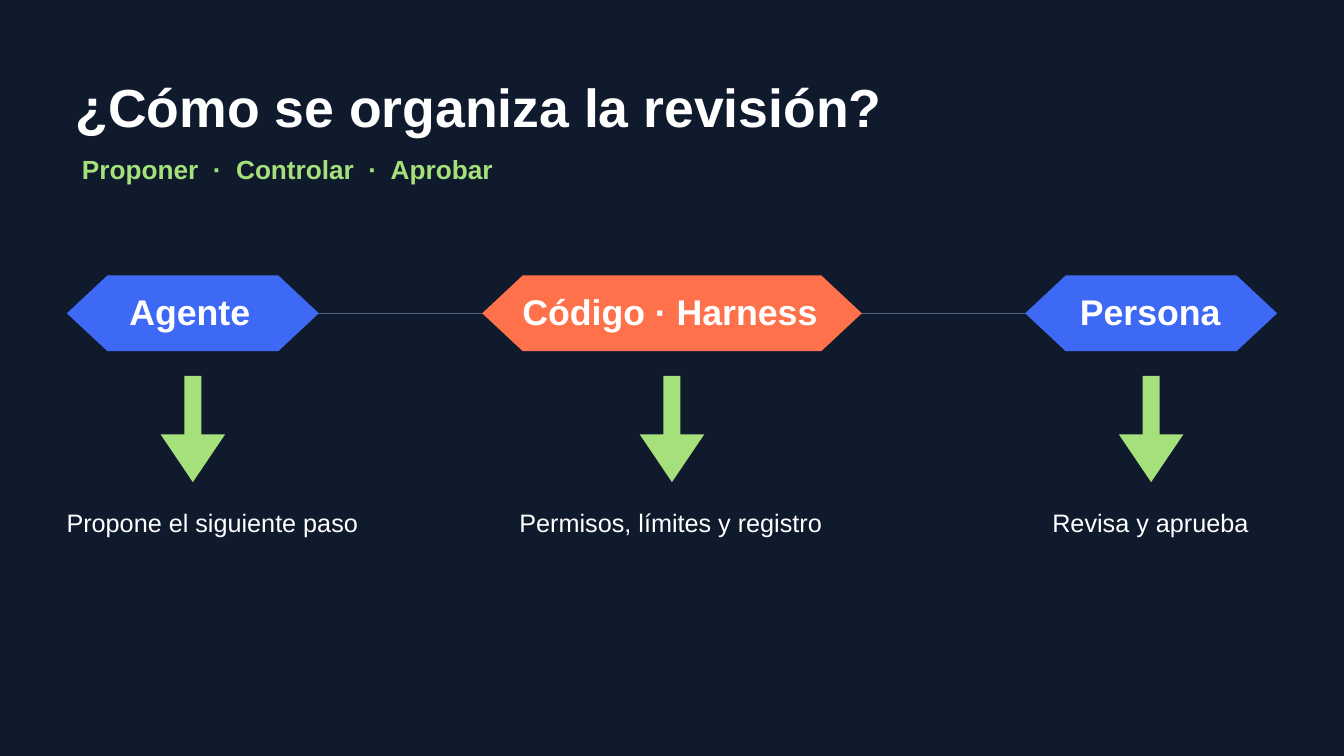
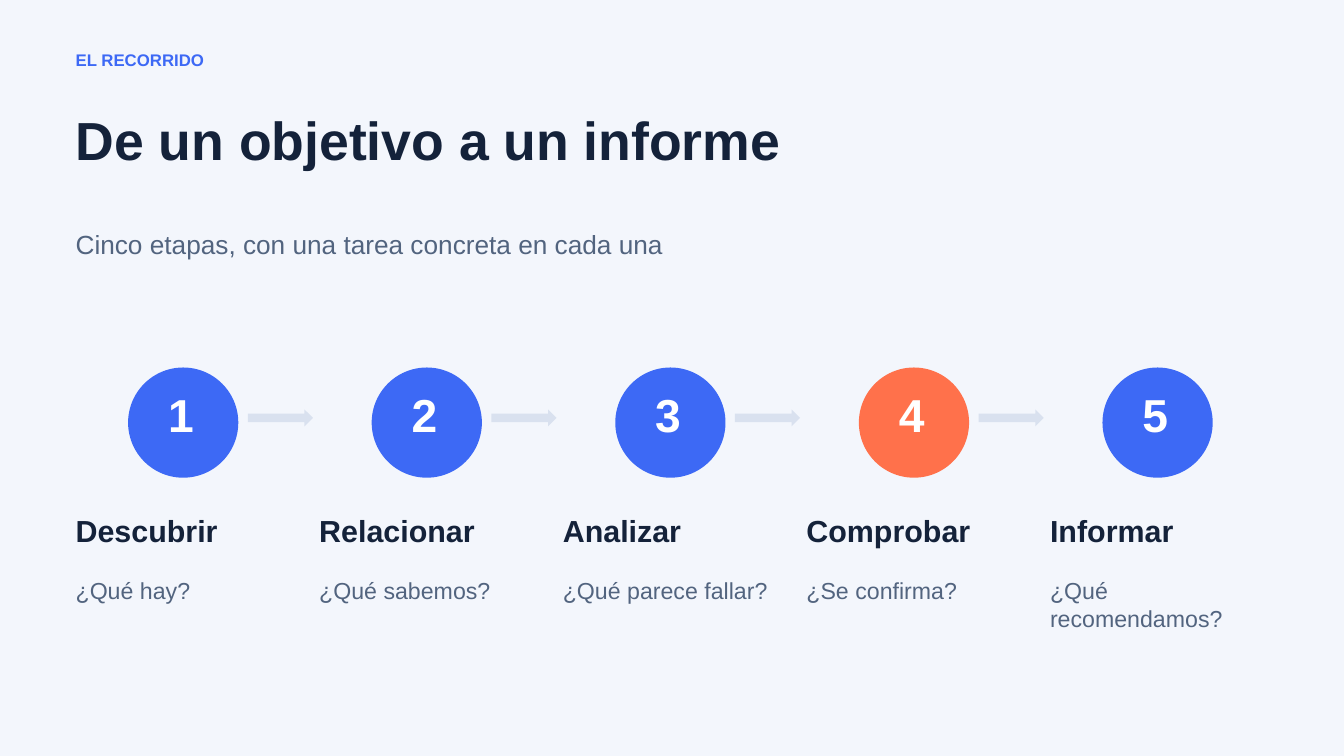
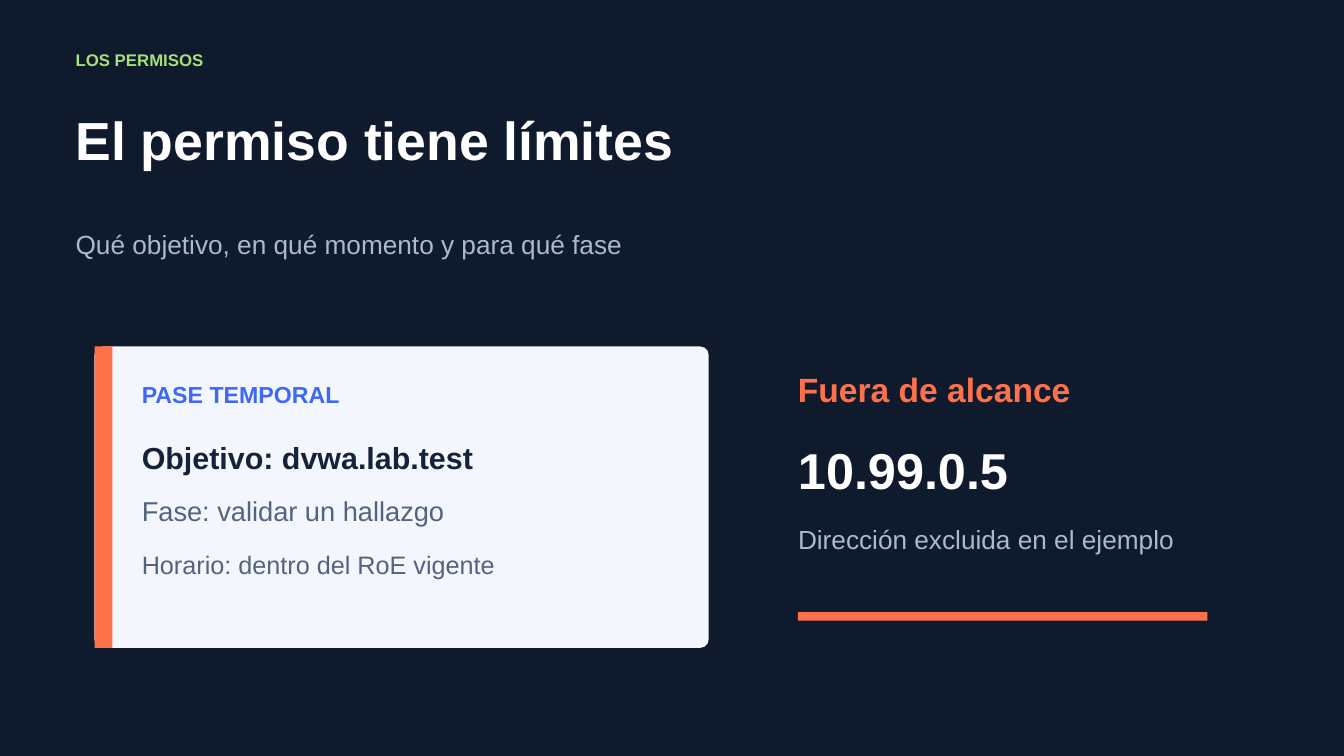
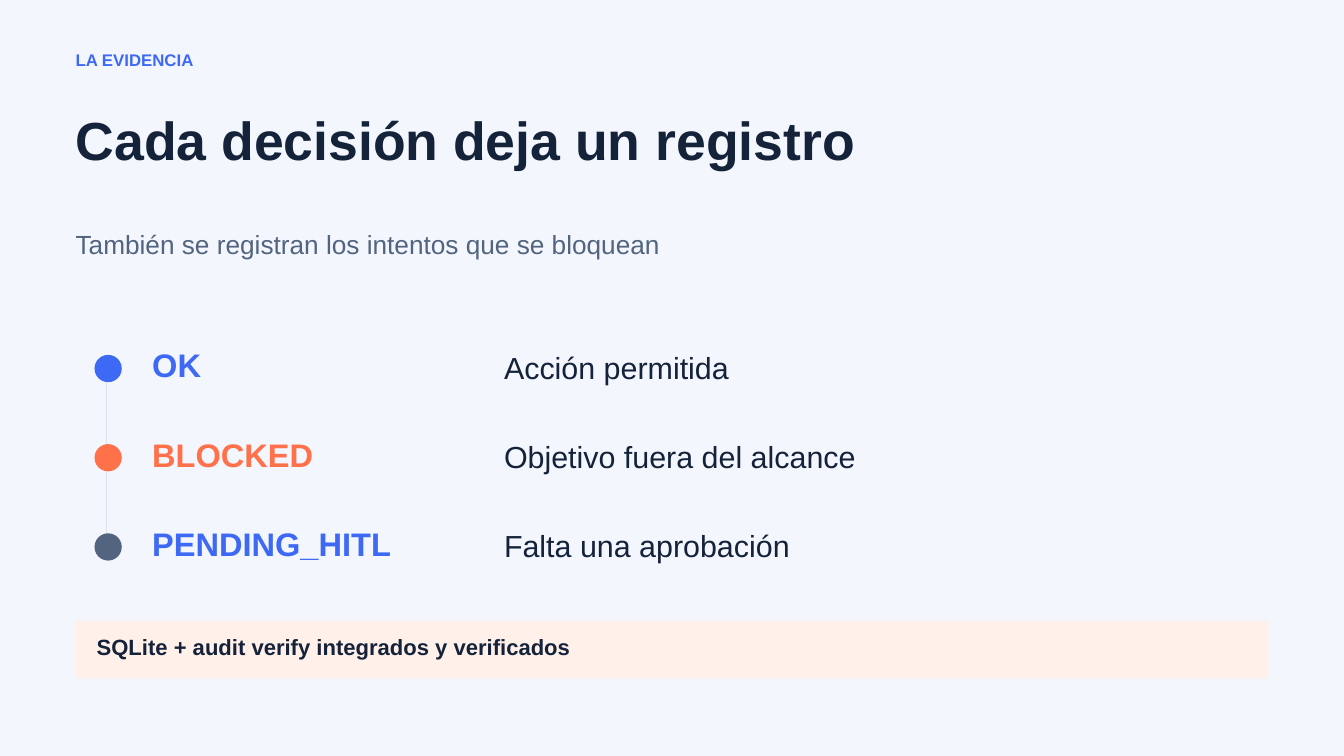
import pptx
import pptx.dml.color
import pptx.enum.shapes
import pptx.enum.text
import pptx.oxml
import pptx.oxml.ns
import pptx.util

RGBColor = pptx.dml.color.RGBColor
NAVY = RGBColor(0x10, 0x1A, 0x2D)
PALE = RGBColor(0xF3, 0xF6, 0xFC)
INK = RGBColor(0x14, 0x22, 0x3A)
WHITE = RGBColor(0xFF, 0xFF, 0xFF)
BLUE = RGBColor(0x3D, 0x69, 0xF5)
ORANGE = RGBColor(0xFF, 0x71, 0x4B)
GREEN = RGBColor(0xA5, 0xE0, 0x7A)
SLATE = RGBColor(0x52, 0x64, 0x7F)
MIST = RGBColor(0xAA, 0xB8, 0xD0)
RULE = RGBColor(0xD9, 0xE1, 0xEF)
PEACH = RGBColor(0xFF, 0xF0, 0xE9)

SHAPE = pptx.enum.shapes.MSO_SHAPE
FONT = "Arial"
WIDTH, HEIGHT = pptx.util.Inches(20), pptx.util.Inches(11.25)
COLUMNS, ROWS = 160, 90
MARGIN = 9
CONTENT = COLUMNS - 2 * MARGIN
TITLE_SIZE, SUBTITLE_SIZE, HEADING_SIZE = 57.4, 28.1, 32.6


def across(columns):
    return round(WIDTH * columns / COLUMNS)


def down(rows):
    return round(HEIGHT * rows / ROWS)


def place(left, top, width, height):
    return across(left), down(top), across(width), down(height)


def add_text(slide, text, box, size=HEADING_SIZE, color=INK, bold=False):
    shape = slide.shapes.add_textbox(*place(*box))
    frame = shape.text_frame
    frame.margin_left = frame.margin_right = 0
    frame.margin_top = frame.margin_bottom = 0
    frame.word_wrap = True
    frame.auto_size = pptx.enum.text.MSO_AUTO_SIZE.SHAPE_TO_FIT_TEXT
    paragraph = frame.paragraphs[0]
    paragraph.line_spacing = pptx.util.Pt(round(size * 1.2, 1))
    run = paragraph.add_run()
    run.text = text
    run.font.name = FONT
    run.font.size = pptx.util.Pt(size)
    run.font.bold = bold
    run.font.color.rgb = color


def add_figure(slide, kind, box, color, adjustments=()):
    shape = slide.shapes.add_shape(kind, *place(*box))
    shape.shadow.inherit = False
    shape.fill.solid()
    shape.fill.fore_color.rgb = color
    shape.line.fill.background()
    for index, value in enumerate(adjustments):
        shape.adjustments[index] = value


def add_line(slide, start, end, color):
    connector = slide.shapes.add_connector(
        pptx.enum.shapes.MSO_CONNECTOR.STRAIGHT,
        across(start[0]), down(start[1]), across(end[0]), down(end[1]))
    connector.line.color.rgb = color
    connector.line.width = pptx.util.Pt(1)
    properties = connector._element.spPr
    properties.append(pptx.oxml.parse_xml(
        "<a:effectLst %s/>" % pptx.oxml.ns.nsdecls("a")))


def add_slide(presentation, background):
    slide = presentation.slides.add_slide(presentation.slide_layouts[6])
    slide.background.fill.solid()
    slide.background.fill.fore_color.rgb = background
    return slide


def add_section_slide(presentation, section, title, subtitle, dark=False):
    slide = add_slide(presentation, NAVY if dark else PALE)
    add_text(slide, section, (MARGIN, 5.87, 137.5, 3.7), size=18,
             color=GREEN if dark else BLUE, bold=True)
    add_text(slide, title, (MARGIN, 12.75, CONTENT, 14), size=TITLE_SIZE,
             color=WHITE if dark else INK, bold=True)
    add_text(slide, subtitle, (MARGIN, 27.12, 138.75, 8.88),
             size=SUBTITLE_SIZE, color=MIST if dark else SLATE)
    return slide


def add_role(slide, center, name, width, name_width, color, task, task_left, task_width):
    add_figure(slide, SHAPE.HEXAGON, (center - width / 2, 32.8, width, 9),
               color, (0.535,))
    add_text(slide, name, (center - name_width / 2, 34.56, name_width, 5.28),
             size=38.2, color=WHITE, bold=True)
    add_figure(slide, SHAPE.DOWN_ARROW, (center - 3.83, 44.75, 7.66, 12.65),
               GREEN, (0.265, 0.74))
    add_text(slide, task, (task_left, 60.4, task_width, 3.8), size=27, color=WHITE)


def build_review(presentation):
    slide = add_slide(presentation, NAVY)
    add_text(slide, "¿Cómo se organiza la revisión?", (MARGIN, 8.75, 97.75, 7.8),
             size=TITLE_SIZE, color=WHITE, bold=True)
    add_text(slide, "Proponer  ·  Controlar  ·  Aprobar", (9.75, 18.25, 69, 3.95),
             size=SUBTITLE_SIZE, color=GREEN, bold=True)
    for left in (35.2, 93.2):
        add_line(slide, (left, 37.33), (left + 31.85, 37.33), SLATE)
    roles = [
        ("Agente", 30, 15.12, BLUE, "Propone el siguiente paso", 7.92, 35.6),
        ("Código · Harness", 45.2, 35.6, ORANGE,
         "Permisos, límites y registro", 61.84, 36.24),
        ("Persona", 30, 16.96, BLUE, "Revisa y aprueba", 125.28, 24.1),
    ]
    for index, role in enumerate(roles):
        add_role(slide, COLUMNS / 2 + 57.04 * (index - 1), *role)


def build_stages(presentation):
    slide = add_section_slide(
        presentation, "EL RECORRIDO", "De un objetivo a un informe",
        "Cinco etapas, con una tarea concreta en cada una")
    stages = [
        ("Descubrir", "¿Qué hay?", BLUE),
        ("Relacionar", "¿Qué sabemos?", BLUE),
        ("Analizar", "¿Qué parece fallar?", BLUE),
        ("Comprobar", "¿Se confirma?", ORANGE),
        ("Informar", "¿Qué recomendamos?", BLUE),
    ]
    for number, (name, question, color) in enumerate(stages, 1):
        left = MARGIN + 29 * (number - 1)
        add_figure(slide, SHAPE.OVAL, (left + 6.25, 43.75, 13.12, 13.12), color)
        add_text(slide, str(number), (left + 11, 46, 7.5, 7.75),
                 size=49.5, color=WHITE, bold=True)
        if number < len(stages):
            add_figure(slide, SHAPE.RIGHT_ARROW, (left + 20.5, 48.75, 7.75, 2), RULE)
        add_text(slide, name, (left, 61, 27.5, 6.25), bold=True)
        add_text(slide, question, (left, 68.62, 27.5, 8.25), size=24.8, color=SLATE)


def build_permission(presentation):
    slide = add_section_slide(
        presentation, "LOS PERMISOS", "El permiso tiene límites",
        "Qué objetivo, en qué momento y para qué fase", dark=True)
    add_figure(slide, SHAPE.ROUNDED_RECTANGLE, (11.25, 41.25, 73.12, 35.88),
               PALE, (0.028,))
    add_figure(slide, SHAPE.RECTANGLE, (11.25, 41.25, 2.12, 35.88), ORANGE)
    pass_left, excluded_left = 16.88, 95
    lines = [
        ("PASE TEMPORAL", pass_left, 45.25, 53.75, 4.5, 24.8, BLUE, True),
        ("Objetivo: dvwa.lab.test", pass_left, 52.25, 60, 5.25, HEADING_SIZE, INK, True),
        ("Fase: validar un hallazgo", pass_left, 58.8, 60, 5.2, 29.2, SLATE, False),
        ("Horario: dentro del RoE vigente", pass_left, 65.38, 61.25, 6.4, 27, SLATE, False),
        ("Fuera de alcance", excluded_left, 43.88, 53.75, 5.85, 36, ORANGE, True),
        ("10.99.0.5", excluded_left, 52.25, 53.75, 8, 54, WHITE, True),
        ("Dirección excluida en el ejemplo", excluded_left, 62.3, 55, 8.88,
         SUBTITLE_SIZE, MIST, False),
    ]
    for text, left, top, width, height, size, color, bold in lines:
        add_text(slide, text, (left, top, width, height),
                 size=size, color=color, bold=bold)
    add_figure(slide, SHAPE.RECTANGLE, (excluded_left, 72.88, 48.75, 1), ORANGE)


def build_record(presentation):
    slide = add_section_slide(
        presentation, "LA EVIDENCIA", "Cada decisión deja un registro",
        "También se registran los intentos que se bloquean")
    states = [
        ("OK", "Acción permitida", BLUE, BLUE),
        ("BLOCKED", "Objetivo fuera del alcance", ORANGE, ORANGE),
        ("PENDING_HITL", "Falta una aprobación", SLATE, BLUE),
    ]
    for index, (state, meaning, dot_color, state_color) in enumerate(states):
        top = 42.25 + 10.62 * index
        add_figure(slide, SHAPE.OVAL, (11.25, top, 3.25, 3.25), dot_color)
        if index < len(states) - 1:
            add_line(slide, (12.68, top + 3.37), (12.68, top + 10.74), RULE)
        add_text(slide, state, (18.12, top - 1.15, 38.75, 6.4),
                 size=34.9, color=state_color, bold=True)
        add_text(slide, meaning, (60, top - 0.72, 81.25, 6.5))
    add_figure(slide, SHAPE.RECTANGLE, (MARGIN, 73.88, CONTENT, 6.88), PEACH)
    add_text(slide, "SQLite + audit verify integrados y verificados",
             (11.5, 75.4, 135.6, 3.2), size=23.6, bold=True)


def main():
    presentation = pptx.Presentation()
    presentation.slide_width, presentation.slide_height = WIDTH, HEIGHT
    build_review(presentation)
    build_stages(presentation)
    build_permission(presentation)
    build_record(presentation)
    presentation.save("out.pptx")


if __name__ == "__main__":
    main()
